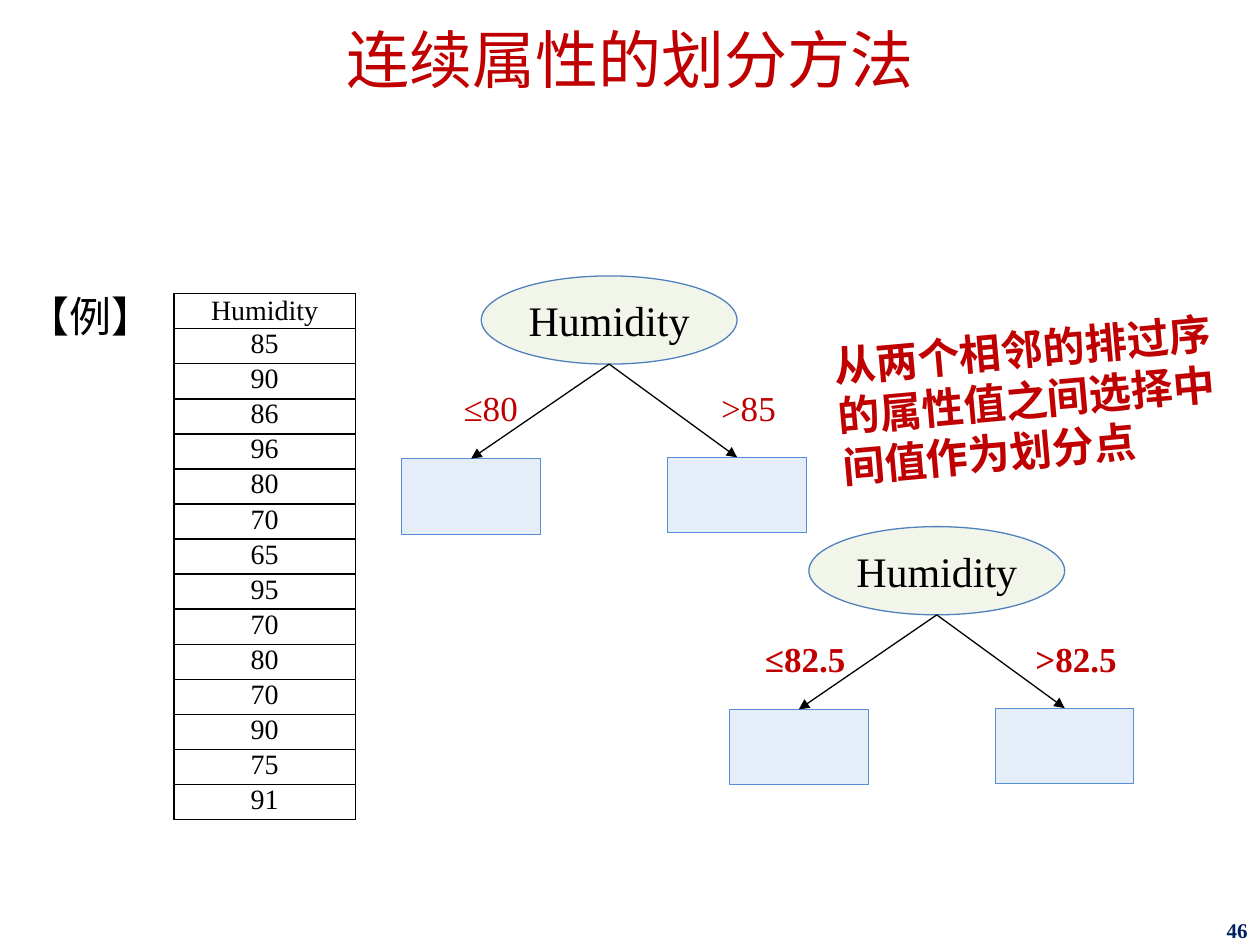
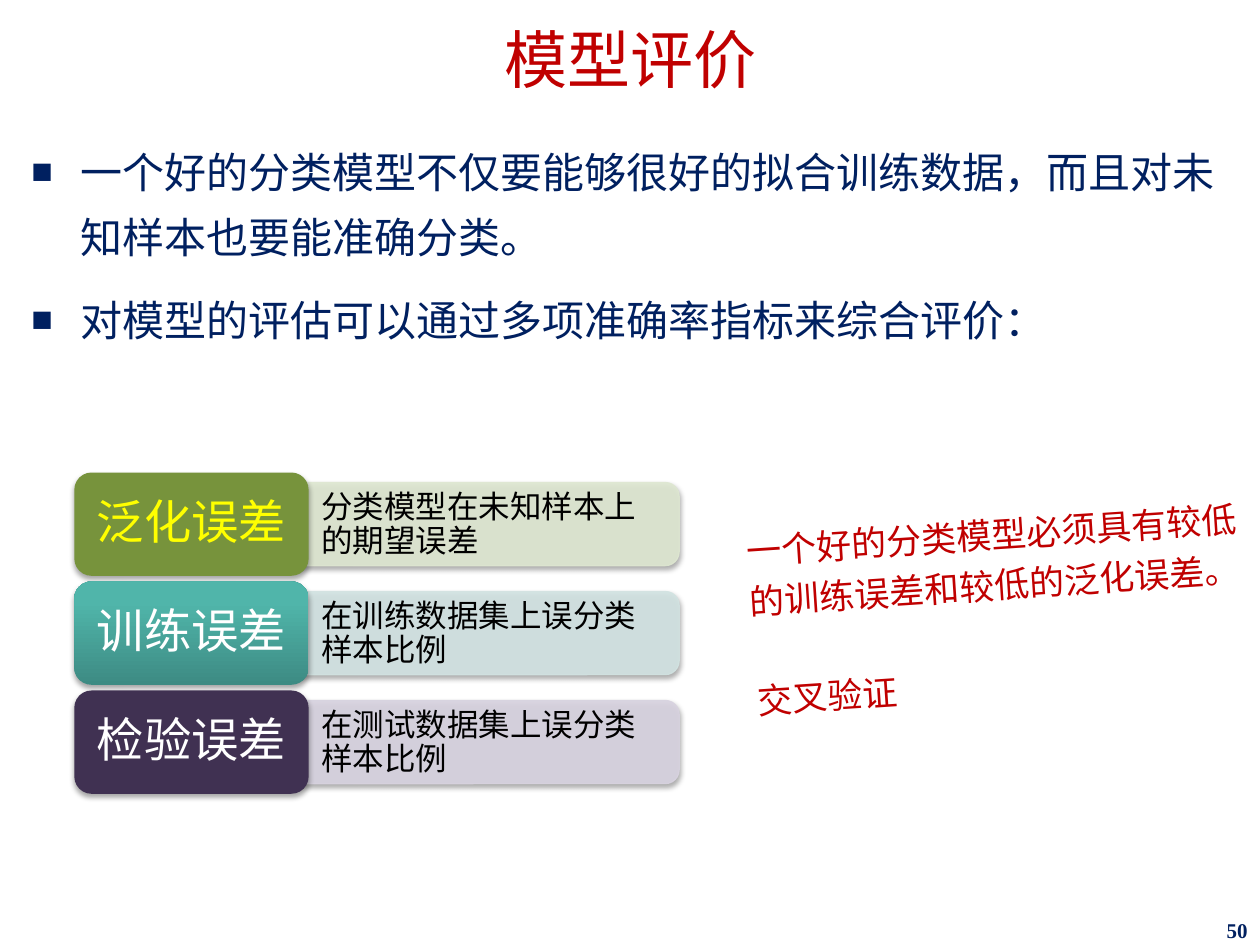
from lxml import etree
from pptx import Presentation
from pptx.dml.color import RGBColor
from pptx.enum import shapes, text
from pptx.oxml import ns
from pptx.oxml.xmlchemy import OxmlElement
from pptx.util import Inches, Pt

COLORS = {
    "red": "C00000", "navy": "002060", "black": "000000", "white": "FFFFFF",
    "yellow": "FFFF00", "leaf": "E4EDF8", "leaf_line": "558ED5",
    "node": "F2F6EA", "node_line": "4F81BD",
    "green": "77933C", "green_pale": "DEE7D1",
    "teal": "50B5AA", "teal_dark": "3D8B83", "teal_pale": "D2E3E2",
    "purple": "403152", "purple_pale": "D8D3E0",
}
RGB = {name: RGBColor.from_string(value) for name, value in COLORS.items()}
SERIF, SANS = "Times New Roman", "Noto Sans CJK SC"
LEFT, CENTER, RIGHT = text.PP_ALIGN.LEFT, text.PP_ALIGN.CENTER, text.PP_ALIGN.RIGHT
TOP, MIDDLE = text.MSO_ANCHOR.TOP, text.MSO_ANCHOR.MIDDLE
SHADOW = (
    f'<a:outerShdw xmlns:a="{ns.namespaces("a")["a"]}" blurRad="{Pt(3.1)}" '
    f'dist="{Pt(1.8)}" dir="5400000" rotWithShape="0">'
    '<a:srgbClr val="000000"><a:alpha val="35000"/></a:srgbClr></a:outerShdw>'
)


def write(frame, lines, size, color, font=SERIF, bold=False, align=LEFT, anchor=TOP,
          insets=(0.1, 0.05, 0.1, 0.05), spacing=1.0, bullet=False, wrap=True):
    frame.word_wrap = wrap
    frame.auto_size = text.MSO_AUTO_SIZE.NONE
    frame.vertical_anchor = anchor
    for side, inset in zip(("left", "top", "right", "bottom"), insets):
        setattr(frame, f"margin_{side}", Inches(inset))
    for index, line in enumerate(lines):
        para = frame.add_paragraph() if index else frame.paragraphs[0]
        if bullet:
            props = para._p.get_or_add_pPr()
            props.set("marL", str(Inches(0.39)))
            props.set("indent", str(Inches(-0.39)))
            for tag, key, value in (("buSzPct", "val", "85000"),
                                    ("buFont", "typeface", font),
                                    ("buChar", "char", "■")):
                mark = OxmlElement(f"a:{tag}")
                mark.set(key, value)
                props.append(mark)
        if index:
            para.space_before = Pt(10)
        para.alignment = align
        para.line_spacing = spacing
        span = para.add_run()
        span.text = line
        for name, value in {"size": Pt(size), "name": font, "bold": bold}.items():
            setattr(span.font, name, value)
        span.font.color.rgb = RGB[color]
        east = OxmlElement("a:ea")
        east.set("typeface", SANS)
        span._r.get_or_add_rPr().append(east)


def add_box(page, area, kind=None, fill=None, line=None, weight=0.75, rotation=0):
    place = [Inches(value) for value in area]
    if kind is None:
        box = page.shapes.add_textbox(*place)
    else:
        box = page.shapes.add_shape(kind, *place)
        box.shadow.inherit = False
        box.fill.solid()
        box.fill.fore_color.rgb = RGB[fill]
        if line:
            box.line.color.rgb = RGB[line]
            box.line.width = Pt(weight)
        else:
            box.line.fill.background()
    box.rotation = rotation
    return box


deck = Presentation()
deck.slide_width, deck.slide_height = Inches(10), Inches(7.5)
pages = []
for heading, number in (("连续属性的划分方法", "46"), ("模型评价", "50")):
    page = deck.slides.add_slide(deck.slide_layouts[5])
    title = page.shapes.title
    for name, value in {"left": 0, "top": 0, "width": 10, "height": 0.89}.items():
        setattr(title, name, Inches(value))
    write(title.text_frame, [heading], 36, "red", align=CENTER, anchor=MIDDLE,
          insets=(0.1, 0.16, 0.1, 0.05), spacing=0.9)
    footer = add_box(page, (7.75, 7.28, 2.25, 0.22))
    write(footer.text_frame, [number], 12, "navy", bold=True, align=RIGHT,
          anchor=MIDDLE, insets=(0.1, 0.04, 0.1, 0.05))
    pages.append(page)
split_page, evaluation_page = pages

example = add_box(split_page, (0.12, 2.26, 1.21, 0.5))
write(example.text_frame, ["【例】"], 24, "black", SANS, wrap=False)

humidity = ["Humidity", 85, 90, 86, 96, 80, 70, 65, 95, 70, 80, 70, 90, 75, 91]
table = split_page.shapes.add_table(
    len(humidity), 1, Inches(1.38), Inches(2.33), Inches(1.44), Inches(4.18)).table
table.first_row = table.horz_banding = False
for row, value in enumerate(humidity):
    table.rows[row].height = Inches(4.18 / len(humidity))
    cell = table.cell(row, 0)
    write(cell.text_frame, [str(value)], 16, "black", align=CENTER)
    cell.vertical_anchor = TOP if row else MIDDLE
    cell.margin_left = cell.margin_right = Inches(0.07)
    cell.margin_top = cell.margin_bottom = 0
    cell.fill.background()
    props = cell._tc.get_or_add_tcPr()
    for position, side in enumerate("LRTB"):
        border = OxmlElement(f"a:ln{side}")
        border.set("w", str(Pt(1)))
        paint = etree.SubElement(border, ns.qn("a:solidFill"))
        etree.SubElement(paint, ns.qn("a:srgbClr"), val=COLORS["black"])
        props.insert(position, border)

trees = (
    (3.11, 2.19, "≤80", ">85", False),
    (5.71, 4.18, "≤82.5", ">82.5", True),
)
for left, top, low, high, bold in trees:
    node = add_box(split_page, (left + 0.71, top, 2.03, 0.7), shapes.MSO_SHAPE.OVAL,
                   "node", "node_line")
    write(node.text_frame, ["Humidity"], 24, "black", align=CENTER, anchor=MIDDLE,
          insets=(0, 0, 0, 0))
    for leaf_left, leaf_top in ((0.08, 1.45), (2.19, 1.44)):
        leaf = add_box(split_page, (left + leaf_left, top + leaf_top, 1.1, 0.6),
                       shapes.MSO_SHAPE.RECTANGLE, "leaf", "leaf_line", 0.5)
        branch = split_page.shapes.add_connector(
            shapes.MSO_CONNECTOR.STRAIGHT, node.left + node.width // 2,
            node.top + node.height, leaf.left + leaf.width // 2, leaf.top)
        branch.end_connect(leaf, 0)
        branch.line.color.rgb = RGB["black"]
        branch.line.width = Pt(0.75)
        etree.SubElement(branch.line._get_or_add_ln(), ns.qn("a:tailEnd"), type="triangle")
        etree.SubElement(branch._element.spPr, ns.qn("a:effectLst"))
    for label, offset, width, align in ((high, 2.17, 1.32, CENTER), (low, 0, 1.05, RIGHT)):
        box = add_box(split_page, (left + offset, top + 0.86, width, 0.38))
        write(box.text_frame, [label], 20, "red", bold=bold, align=align,
              insets=(0.05, 0.02, 0.05, 0.02))

rule = add_box(split_page, (6.55, 2.52, 3.21, 1.31), rotation=354.9)
write(rule.text_frame, ["从两个相邻的排过序的属性值之间选择中间值作为划分点"],
      24, "red", SANS, bold=True)

body = add_box(evaluation_page, (0.15, 0.99, 9.72, 6.17))
write(body.text_frame, [
    "一个好的分类模型不仅要能够很好的拟合训练数据，而且对未知样本也要能准确分类。",
    "对模型的评估可以通过多项准确率指标来综合评价：",
], 24, "navy", spacing=1.3, bullet=True)

errors = (
    ("泛化误差", "分类模型在未知样本上的期望误差", "green", "yellow"),
    ("训练误差", "在训练数据集上误分类样本比例", "teal", "white"),
    ("检验误差", "在测试数据集上误分类样本比例", "purple", "white"),
)
for index, (name, meaning, color, name_color) in enumerate(errors):
    top = 3.75 + index * 0.865
    pale = f"{color}_pale"
    bar = add_box(evaluation_page, (3.41, top - 1.24, 0.66, 3.3),
                  shapes.MSO_SHAPE.ROUND_2_SAME_RECTANGLE, pale, pale, rotation=90)
    for paint in bar._element.spPr.iter(ns.qn("a:srgbClr")):
        etree.SubElement(paint, ns.qn("a:alpha"), val="90000")
    meaning_box = add_box(evaluation_page, (2.09, top + 0.12, 3.27, 0.59))
    write(meaning_box.text_frame, [meaning], 18, "black", SANS, anchor=MIDDLE,
          insets=(0.46, 0.14, 0.27, 0.14), spacing=0.9)
    badge = add_box(evaluation_page, (0.59, top, 1.86, 0.82),
                    shapes.MSO_SHAPE.ROUNDED_RECTANGLE, color)
    if color == "teal":
        badge.fill.gradient()
        badge.fill.gradient_angle = 90
        for stop, shade, position in zip(badge.fill.gradient_stops,
                                         ("teal_dark", "teal"), (0, 0.8)):
            stop.color.rgb = RGB[shade]
            stop.position = position
    write(badge.text_frame, [name], 27, name_color, SANS, align=CENTER, anchor=MIDDLE,
          insets=(0.05, 0.05, 0.05, 0.05), spacing=0.9)
    for shape in (bar, badge):
        shape._element.spPr.find(ns.qn("a:effectLst")).append(etree.fromstring(SHADOW))

remarks = (
    ("一个好的分类模型必须具有较低的训练误差和较低的泛化误差。", (5.83, 3.96, 4.1, 0.86)),
    ("交叉验证", (5.91, 5.22, 1.86, 0.45)),
)
for remark, area in remarks:
    box = add_box(evaluation_page, area, rotation=356.2)
    write(box.text_frame, [remark], 20, "red", SANS, spacing=1.2)

deck.save("out.pptx")
